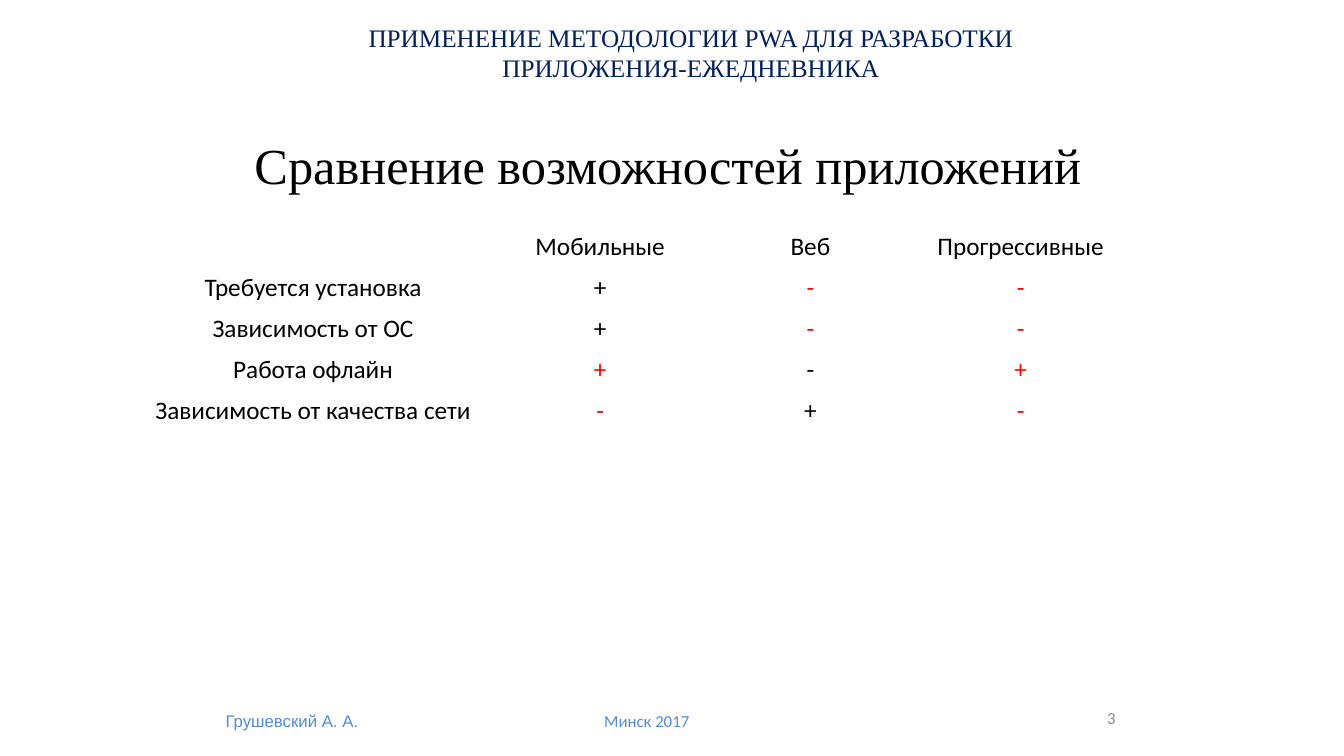
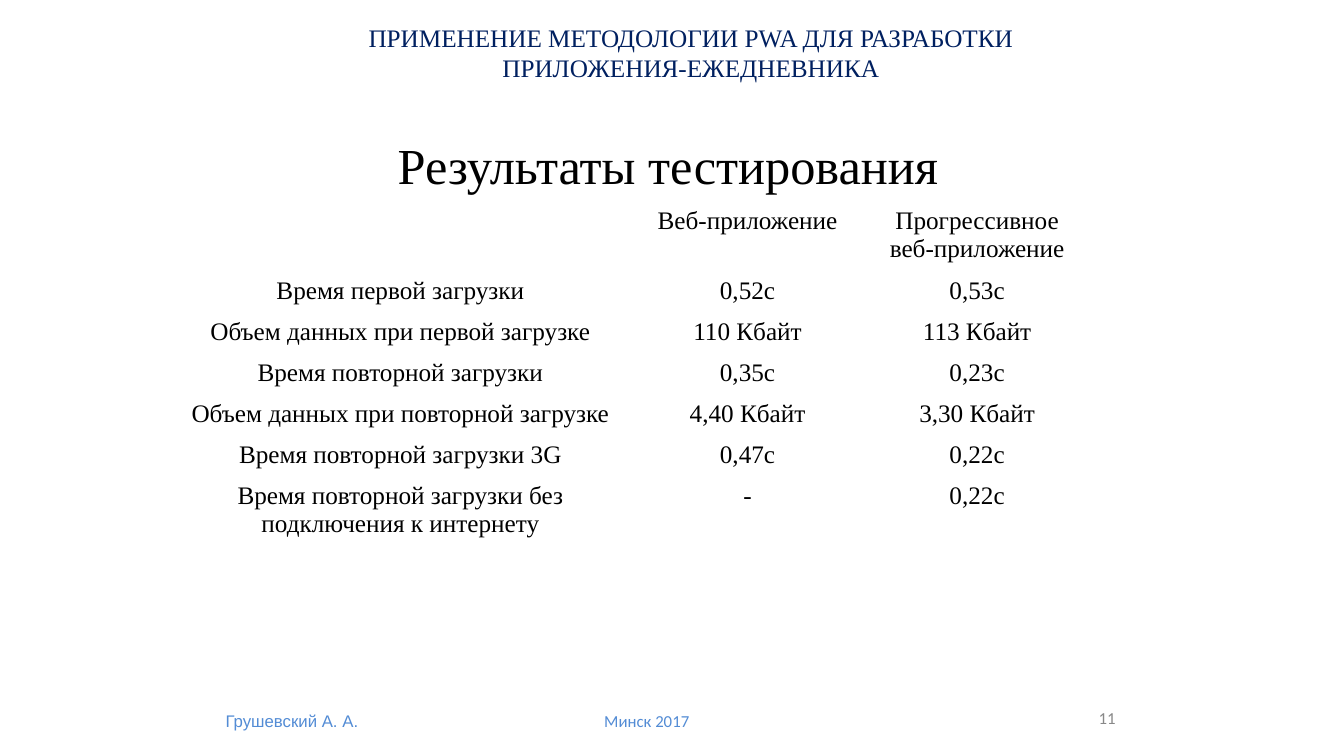
from pptx import Presentation
from pptx.dml.color import RGBColor
from pptx.enum.text import MSO_ANCHOR, PP_ALIGN
from pptx.util import Pt

LEFT, CENTER, RIGHT = PP_ALIGN.LEFT, PP_ALIGN.CENTER, PP_ALIGN.RIGHT
TOP, MIDDLE = MSO_ANCHOR.TOP, MSO_ANCHOR.MIDDLE
TITLE_ONLY = 5
SERIF, SANS, ARIAL = "Times New Roman", "Calibri", "Arial"
BLACK, RED, NAVY, BLUE, GRAY = "000000", "FF0000", "002060", "538CD5", "888888"

TITLE_BOX = (174.2, 90, 606, 60.5)
TOPIC_BOX = (204, 12.2, 579, 72.7)
CITY_BOX = (330, 500.4, 264, 28.8)
AUTHOR_BOX = (154, 500.4, 168, 28.8)
NUMBER_BOX = (744, 498.2, 60, 28.8)
TOPIC = "ПРИМЕНЕНИЕ МЕТОДОЛОГИИ PWA ДЛЯ РАЗРАБОТКИ ПРИЛОЖЕНИЯ-ЕЖЕДНЕВНИКА"
ROW_HEIGHT, TALL_ROW = 29.25, 45.6

COMPARISON = [
    ["", "Мобильные", "Веб", "Прогрессивные"],
    ["Требуется установка", "+", "-", "-"],
    ["Зависимость от ОС", "+", "-", "-"],
    ["Работа офлайн", "+", "-", "+"],
    ["Зависимость от качества сети", "-", "+", "-"],
]
ADVANTAGES = {(1, 2), (1, 3), (2, 2), (2, 3), (3, 1), (3, 3), (4, 1), (4, 3)}
RESULTS = [
    ["", "Веб-приложение", "Прогрессивное веб-приложение"],
    ["Время первой загрузки", "0,52с", "0,53с"],
    ["Объем данных при первой загрузке", "110 Кбайт", "113 Кбайт"],
    ["Время повторной загрузки", "0,35с", "0,23с"],
    ["Объем данных при повторной загрузке", "4,40 Кбайт", "3,30 Кбайт"],
    ["Время повторной загрузки 3G", "0,47с", "0,22с"],
    ["Время повторной загрузки без подключения к интернету", "-", "0,22с"],
]


def color(value):
    """Turn a hex string into a colour."""
    return RGBColor.from_string(value)


def write(frame, text, size, font, ink, align=CENTER, **para_format):
    """Put one formatted paragraph into a text frame."""
    para = frame.paragraphs[0]
    for name, value in {"alignment": align, **para_format}.items():
        setattr(para, name, value)
    if not text:
        para.font.size = Pt(size)
        return
    span = para.add_run()
    span.text = text
    for name, value in {"size": Pt(size), "name": font, "bold": False}.items():
        setattr(span.font, name, value)
    span.font.color.rgb = color(ink)


def add_label(page, box, text, size, font, ink, align=CENTER, anchor=MIDDLE):
    """Add a wrapped text box."""
    frame = page.shapes.add_textbox(*map(Pt, box)).text_frame
    frame.word_wrap = True
    frame.vertical_anchor = anchor
    write(frame, text, size, font, ink, align)


def add_title(page, box, text):
    """Place and format the title placeholder."""
    title = page.shapes.title
    for name, value in zip(("left", "top", "width", "height"), box):
        setattr(title, name, Pt(value))
    title.text_frame.vertical_anchor = MIDDLE
    write(title.text_frame, text, 36, SERIF, BLACK, line_spacing=0.9)


def add_page(deck, title, number):
    """Add a slide with the shared topic, title and footer."""
    page = deck.slides.add_slide(deck.slide_layouts[TITLE_ONLY])
    add_label(page, CITY_BOX, "Минск 2017", 12, SANS, BLUE)
    add_label(page, AUTHOR_BOX, "Грушевский А. А.", 12, ARIAL, BLUE, LEFT)
    add_label(page, TOPIC_BOX, TOPIC, 18, SERIF, NAVY, anchor=TOP)
    add_title(page, TITLE_BOX, title)
    add_label(page, NUMBER_BOX, str(number), 12, SANS, GRAY, RIGHT)
    return page


def add_grid(page, box, rows, first_width, font, tall=(), marked=()):
    """Add a plain table with a wide first column and equal other columns."""
    left, top, width = box
    count = len(rows[0])
    heights = [TALL_ROW if i in tall else ROW_HEIGHT for i in range(len(rows))]
    area = map(Pt, (left, top, width, sum(heights)))
    table = page.shapes.add_table(len(rows), count, *area).table
    table.first_row = table.horz_banding = False
    other_width = (width - first_width) / (count - 1)
    for index, column in enumerate(table.columns):
        column.width = Pt(other_width if index else first_width)
    for r, (height, texts) in enumerate(zip(heights, rows)):
        table.rows[r].height = Pt(height)
        for c, text in enumerate(texts):
            cell = table.cell(r, c)
            cell.fill.background()
            ink = RED if (r, c) in marked else BLACK
            write(cell.text_frame, text, 18, font, ink)


def main():
    """Build and save the deck."""
    deck = Presentation()
    deck.slide_width, deck.slide_height = Pt(960), Pt(540)
    page = add_page(deck, "Сравнение возможностей приложений", 3)
    add_grid(page, (93.6, 162, 710.6), COMPARISON, 260, SANS, marked=ADVANTAGES)
    page = add_page(deck, "Результаты тестирования", 11)
    add_grid(page, (120, 144, 660), RESULTS, 332, SERIF, tall=(0, 6))
    deck.save("out.pptx")


if __name__ == "__main__":
    main()
